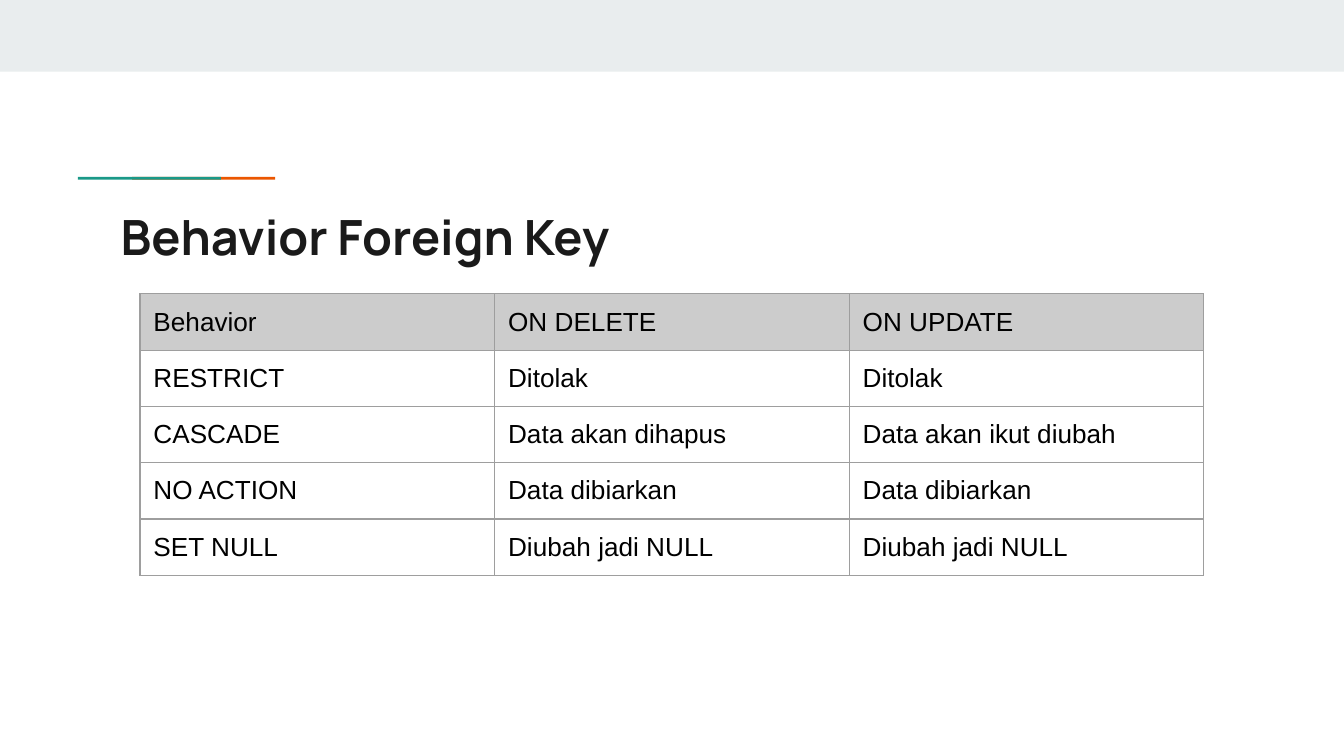
from lxml import etree
from pptx import Presentation
from pptx.dml.color import RGBColor
from pptx.enum import shapes, text
from pptx.oxml import ns
from pptx.util import Pt

INSET = 7.2
BEHAVIORS = [
    ("Behavior", "ON DELETE", "ON UPDATE"),
    ("RESTRICT", "Ditolak", "Ditolak"),
    ("CASCADE", "Data akan dihapus", "Data akan ikut diubah"),
    ("NO ACTION", "Data dibiarkan", "Data dibiarkan"),
    ("SET NULL", "Diubah jadi NULL", "Diubah jadi NULL"),
]


def color(hex_value):
    return RGBColor.from_string(hex_value)


def format_font(paragraph, name, size, hex_value, bold=False):
    for run in paragraph.runs:
        run.font.name = name
        run.font.size = Pt(size)
        run.font.bold = bold
        run.font.color.rgb = color(hex_value)


def set_insets(owner):
    owner.margin_left = owner.margin_right = Pt(INSET)
    owner.margin_top = owner.margin_bottom = Pt(INSET)


def add_bar(slide, left, top, width, height, fill):
    bar = slide.shapes.add_shape(
        shapes.MSO_SHAPE.RECTANGLE, Pt(left), Pt(top), Pt(width), Pt(height))
    bar.shadow.inherit = False
    bar.fill.solid()
    bar.fill.fore_color.rgb = color(fill)
    bar.line.fill.background()


def set_title(slide, wording):
    title = slide.shapes.title
    title.left, title.top = Pt(57.5), Pt(103.7)
    title.width, title.height = Pt(605.5), Pt(42.5)
    frame = title.text_frame
    frame.text = wording
    frame.word_wrap = True
    frame.auto_size = text.MSO_AUTO_SIZE.NONE
    frame.vertical_anchor = text.MSO_ANCHOR.TOP
    set_insets(frame)
    heading = frame.paragraphs[0]
    heading.alignment = text.PP_ALIGN.LEFT
    format_font(heading, "Manrope", 26, "1A1A1A", bold=True)


def add_borders(cell, hex_value, width):
    properties = cell._tc.get_or_add_tcPr()
    # Borders must come before the cell fill
    for position, side in enumerate(("a:lnL", "a:lnR", "a:lnT", "a:lnB")):
        border = etree.Element(ns.qn(side), w=str(Pt(width)))
        fill = etree.SubElement(border, ns.qn("a:solidFill"))
        etree.SubElement(fill, ns.qn("a:srgbClr"), val=hex_value)
        properties.insert(position, border)


def add_behavior_table(slide, left, top, column_width, row_height):
    row_count, column_count = len(BEHAVIORS), len(BEHAVIORS[0])
    table = slide.shapes.add_table(
        row_count, column_count, Pt(left), Pt(top),
        Pt(column_width * column_count), Pt(row_height * row_count)).table
    table.first_row = table.horz_banding = False
    for column in table.columns:
        column.width = Pt(column_width)
    for row_index, (row, wordings) in enumerate(zip(table.rows, BEHAVIORS)):
        row.height = Pt(row_height)
        for cell, wording in zip(row.cells, wordings):
            cell.text_frame.text = wording
            format_font(cell.text_frame.paragraphs[0], "Arial", 14, "000000")
            set_insets(cell)
            if row_index == 0:
                cell.fill.solid()
                cell.fill.fore_color.rgb = color("CCCCCC")
            else:
                cell.fill.background()
            add_borders(cell, "9E9E9E", 0.75)


def main():
    deck = Presentation()
    deck.slide_width, deck.slide_height = Pt(720), Pt(405)
    slide = deck.slides.add_slide(deck.slide_layouts[5])

    # Top band, then the accent rule: green overlaps orange
    add_bar(slide, 0, 0, 720, 38.4, "E9EDEE")
    add_bar(slide, 70.8, 94.8, 76.6, 1.5, "EB5600")
    add_bar(slide, 41.8, 94.8, 76.6, 1.5, "1A9988")

    # Heading and foreign key rules
    set_title(slide, "Behavior Foreign Key")
    add_behavior_table(slide, 75, 157.4, 190, 30)

    deck.save("out.pptx")


if __name__ == "__main__":
    main()
